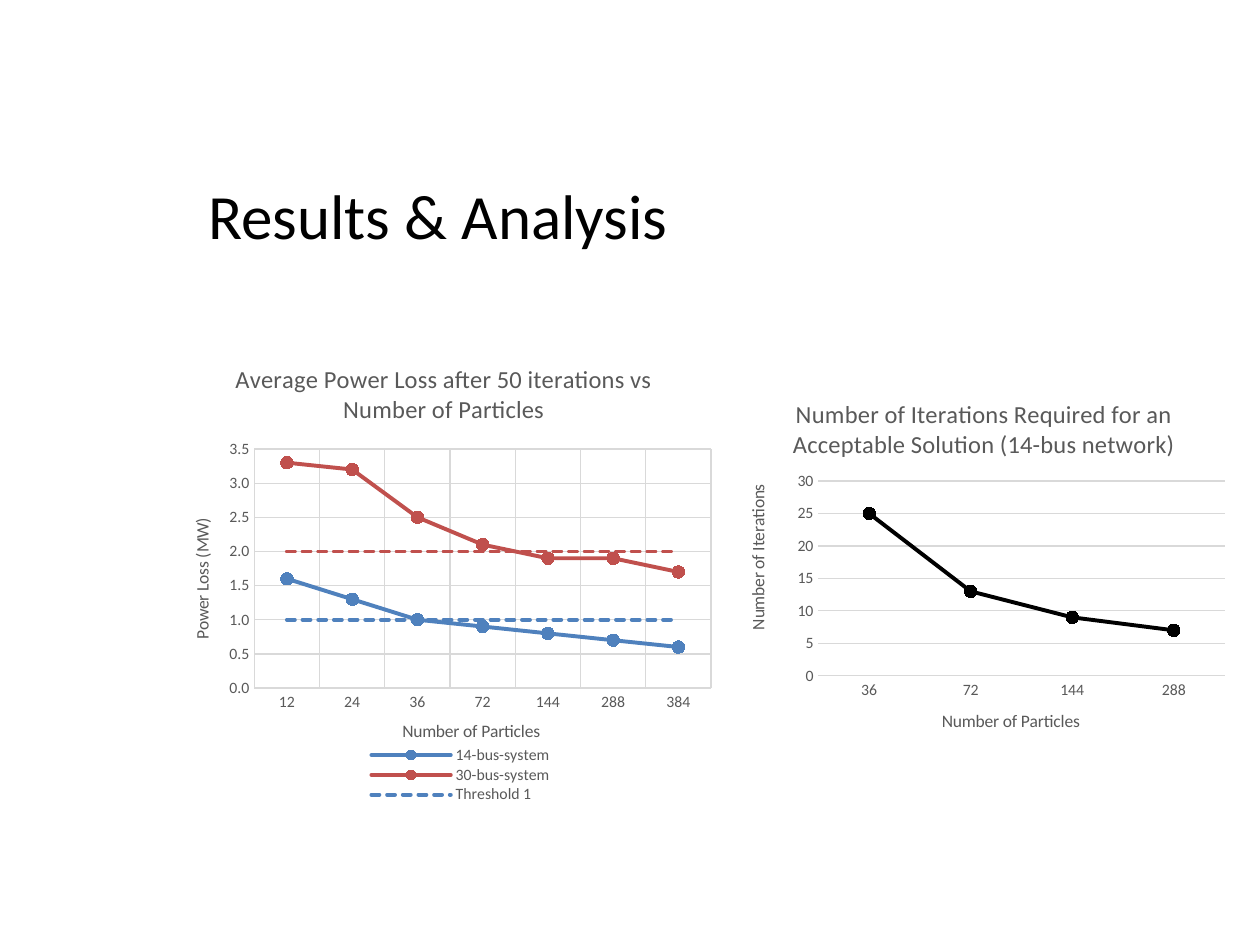
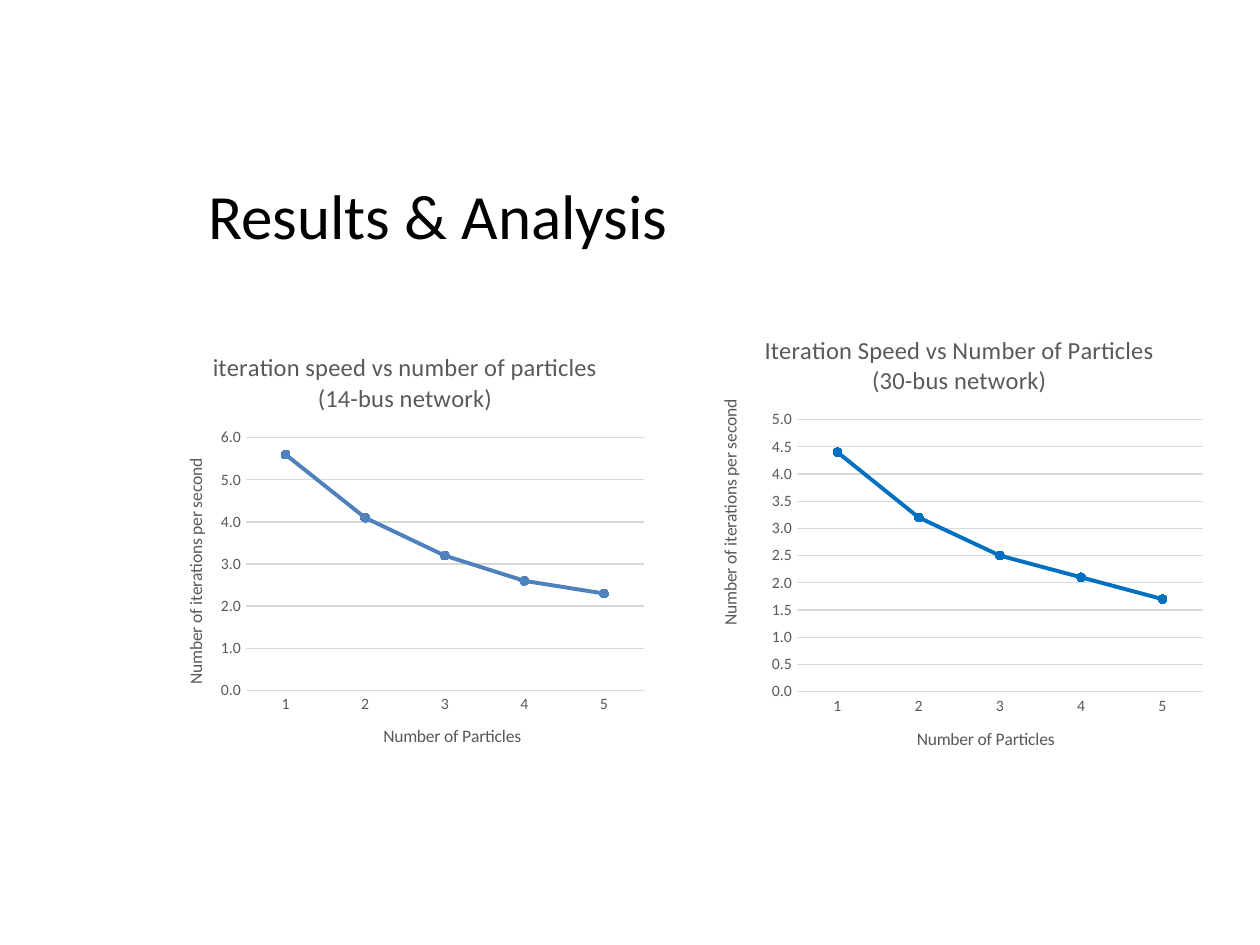
from dataclasses import dataclass

from lxml import etree
from pptx import Presentation
from pptx.chart.data import CategoryChartData
from pptx.dml.color import RGBColor
from pptx.enum.chart import XL_CHART_TYPE, XL_LEGEND_POSITION, XL_MARKER_STYLE, XL_TICK_MARK
from pptx.enum.dml import MSO_LINE
from pptx.enum.text import MSO_ANCHOR, PP_ALIGN
from pptx.oxml.ns import qn
from pptx.util import Cm, Pt

LINE_MARKERS = XL_CHART_TYPE.LINE_MARKERS
LEGEND_BOTTOM = XL_LEGEND_POSITION.BOTTOM
CIRCLE, NO_MARKER = XL_MARKER_STYLE.CIRCLE, XL_MARKER_STYLE.NONE
NO_TICK = XL_TICK_MARK.NONE
DASH = MSO_LINE.SQUARE_DOT
LEFT, MIDDLE = PP_ALIGN.LEFT, MSO_ANCHOR.MIDDLE
TITLE_ONLY = 5


@dataclass(frozen=True)
class Theme:
    font: str = "Calibri"
    black: str = "000000"
    gray: str = "595959"
    grid: str = "D9D9D9"
    blue: str = "4F81BD"
    red: str = "C0504D"
    bright_blue: str = "0070C0"
    title_size: int = 36
    chart_title_size: int = 14
    axis_title_size: int = 10
    label_size: int = 9
    series_width: float = 2.25
    grid_width: float = 0.75


THEME = Theme()
TITLE = "Results & Analysis"
TITLE_BOX = (3.94, 2.72, 20.19, 3.18)
PARTICLES = "Number of Particles"
SPEED = "Number of iterations per second"


@dataclass(frozen=True)
class Series:
    name: str
    values: tuple
    color: str
    marker_size: int = 7  # 0 draws a dashed line without markers


@dataclass(frozen=True)
class LineChart:
    """Box in cm; plot and axis title places are fractions of the chart."""
    title: str
    value_title: str
    box: tuple
    plot_box: tuple
    category_title_at: tuple
    value_title_at: tuple
    categories: tuple
    series: tuple
    maximum: float
    step: float
    number_format: str = "0.0"
    category_grid: bool = False
    legend_box: tuple = ()
    unlisted_series: tuple = ()


POWER_LOSS = LineChart(
    title="Average Power Loss after 50 iterations vs Number of Particles",
    value_title="Power Loss (MW)",
    box=(3.33, 6.88, 11.23, 9.45),
    plot_box=(0.16, 0.23, 0.82, 0.51),
    category_title_at=(0.42, 0.8),
    value_title_at=(0.04, 0.37),
    categories=("12", "24", "36", "72", "144", "288", "384"),
    series=(
        Series("14-bus-system", (1.6, 1.3, 1, 0.9, 0.8, 0.7, 0.6), THEME.blue),
        Series("30-bus-system", (3.3, 3.2, 2.5, 2.1, 1.9, 1.9, 1.7), THEME.red),
        Series("Threshold 1", (1,) * 7, THEME.blue, 0),
        Series("Threshold 2", (2,) * 7, THEME.red, 0),
    ),
    maximum=3.5,
    step=0.5,
    category_grid=True,
    legend_box=(0.36, 0.86, 0.34, 0.13),
    unlisted_series=(3,),
)
ITERATIONS = LineChart(
    title="Number of Iterations Required for an Acceptable Solution (14-bus network)",
    value_title="Number of Iterations",
    box=(14.78, 7.62, 10.11, 7.7),
    plot_box=(0.17, 0.27, 0.81, 0.51),
    category_title_at=(0.41, 0.86),
    value_title_at=(0.02, 0.27),
    categories=("36", "72", "144", "288"),
    series=(Series("Series 1", (25, 13, 9, 7), THEME.black),),
    maximum=30,
    step=5,
    number_format="General",
)
SPEED_14_BUS = LineChart(
    title="iteration speed vs number of particles\n(14-bus network)",
    value_title=SPEED,
    box=(3.15, 6.68, 10.03, 8.94),
    plot_box=(0.18, 0.24, 0.8, 0.57),
    category_title_at=(0.45, 0.88),
    value_title_at=(0.05, 0.28),
    categories=("1", "2", "3", "4", "5"),
    series=(Series("Series 1", (5.6, 4.1, 3.2, 2.6, 2.3), THEME.blue, 5),),
    maximum=6,
    step=1,
)
SPEED_30_BUS = LineChart(
    title="Iteration Speed vs Number of Particles\n(30-bus network)",
    value_title=SPEED,
    box=(14.22, 6.32, 10.24, 9.3),
    plot_box=(0.18, 0.23, 0.8, 0.59),
    category_title_at=(0.41, 0.89),
    value_title_at=(0.02, 0.18),
    categories=("1", "2", "3", "4", "5"),
    series=(Series("Series 1", (4.4, 3.2, 2.5, 2.1, 1.7), THEME.bright_blue, 5),),
    maximum=5,
    step=0.5,
)
SLIDES = ((POWER_LOSS, ITERATIONS), (SPEED_14_BUS, SPEED_30_BUS))


def set_attributes(target, **values):
    for name, value in values.items():
        setattr(target, name, value)


def format_font(font, size, color=THEME.gray):
    set_attributes(font, name=THEME.font, size=Pt(size), bold=False)
    font.color.rgb = RGBColor.from_string(color)


def format_line(line, color, width):
    line.color.rgb = RGBColor.from_string(color)
    line.width = Pt(width)


def write_text(text_frame, text, size, color=THEME.gray):
    text_frame.text = text
    for paragraph in text_frame.paragraphs:
        format_font(paragraph.font, size, color)
        for run in paragraph.runs:
            format_font(run.font, size, color)


def place(element, position, index=1, inner=False):
    """Give a chart part a manual layout, as fractions of the chart."""
    layout = element.find(qn("c:layout"))
    if layout is None:
        layout = etree.Element(qn("c:layout"))
        element.insert(index, layout)
    for child in list(layout):
        layout.remove(child)
    manual = etree.SubElement(layout, qn("c:manualLayout"))
    values = {"layoutTarget": "inner"} if inner else {}
    values.update(xMode="edge", yMode="edge")
    values.update(zip("xywh", position))
    for name, value in values.items():
        etree.SubElement(manual, qn(f"c:{name}")).set("val", str(value))


def format_axis(axis, title, title_at, has_grid):
    set_attributes(axis, major_tick_mark=NO_TICK, minor_tick_mark=NO_TICK,
                   has_major_gridlines=has_grid)
    if has_grid:
        format_line(axis.major_gridlines.format.line, THEME.grid, THEME.grid_width)
    format_font(axis.tick_labels.font, THEME.label_size)
    write_text(axis.axis_title.text_frame, title, THEME.axis_title_size)
    place(axis.axis_title._element, title_at)


def format_series(plotted, series):
    plotted.smooth = False
    line = plotted.format.line
    format_line(line, series.color, THEME.series_width)
    plotted._element.find(qn("c:spPr")).find(qn("a:ln")).set("cap", "rnd")
    marker = plotted.marker
    if not series.marker_size:
        marker.style = NO_MARKER
        line.dash_style = DASH
        return
    set_attributes(marker, style=CIRCLE, size=series.marker_size)
    marker.format.fill.solid()
    marker.format.fill.fore_color.rgb = RGBColor.from_string(series.color)
    format_line(marker.format.line, series.color, THEME.grid_width)


def add_legend(chart, box, unlisted_series):
    chart.has_legend = True
    legend = chart.legend
    set_attributes(legend, position=LEGEND_BOTTOM, include_in_layout=False)
    format_font(legend.font, THEME.label_size)
    place(legend._element, box)
    for series_index in unlisted_series:
        entry = etree.Element(qn("c:legendEntry"))
        etree.SubElement(entry, qn("c:idx")).set("val", str(series_index))
        etree.SubElement(entry, qn("c:delete")).set("val", "1")
        legend._element.insert(1, entry)


def add_line_chart(slide, content):
    data = CategoryChartData(number_format=content.number_format)
    data.categories = content.categories
    for series in content.series:
        data.add_series(series.name, series.values)
    box = map(Cm, content.box)
    chart = slide.shapes.add_chart(LINE_MARKERS, *box, data).chart
    format_font(chart.font, THEME.axis_title_size, THEME.black)
    chart.has_title = True
    write_text(chart.chart_title.text_frame, content.title, THEME.chart_title_size)
    chart.chart_title.include_in_layout = False
    chart.plots[0].vary_by_categories = False
    place(chart._chartSpace.chart.plotArea, content.plot_box, index=0, inner=True)

    category_axis, value_axis = chart.category_axis, chart.value_axis
    format_axis(category_axis, PARTICLES, content.category_title_at, content.category_grid)
    format_line(category_axis.format.line, THEME.grid, THEME.grid_width)
    format_axis(value_axis, content.value_title, content.value_title_at, True)
    value_axis.format.line.fill.background()
    set_attributes(value_axis, minimum_scale=0, maximum_scale=content.maximum,
                   major_unit=content.step)
    set_attributes(value_axis.tick_labels, number_format=content.number_format,
                   number_format_is_linked=False)

    for plotted, series in zip(chart.plots[0].series, content.series):
        format_series(plotted, series)
    chart.has_legend = False
    if content.legend_box:
        add_legend(chart, content.legend_box, content.unlisted_series)


def add_titled_slide(presentation):
    slide = presentation.slides.add_slide(presentation.slide_layouts[TITLE_ONLY])
    title = slide.shapes.title
    set_attributes(title, **dict(zip(("left", "top", "width", "height"), map(Cm, TITLE_BOX))))
    write_text(title.text_frame, TITLE, THEME.title_size, THEME.black)
    title.text_frame.vertical_anchor = MIDDLE
    title.text_frame.paragraphs[0].alignment = LEFT
    return slide


def main():
    presentation = Presentation()
    set_attributes(presentation, slide_width=Cm(25.4), slide_height=Cm(19.05))
    for charts in SLIDES:
        slide = add_titled_slide(presentation)
        for content in charts:
            add_line_chart(slide, content)
    presentation.save("out.pptx")


if __name__ == "__main__":
    main()
